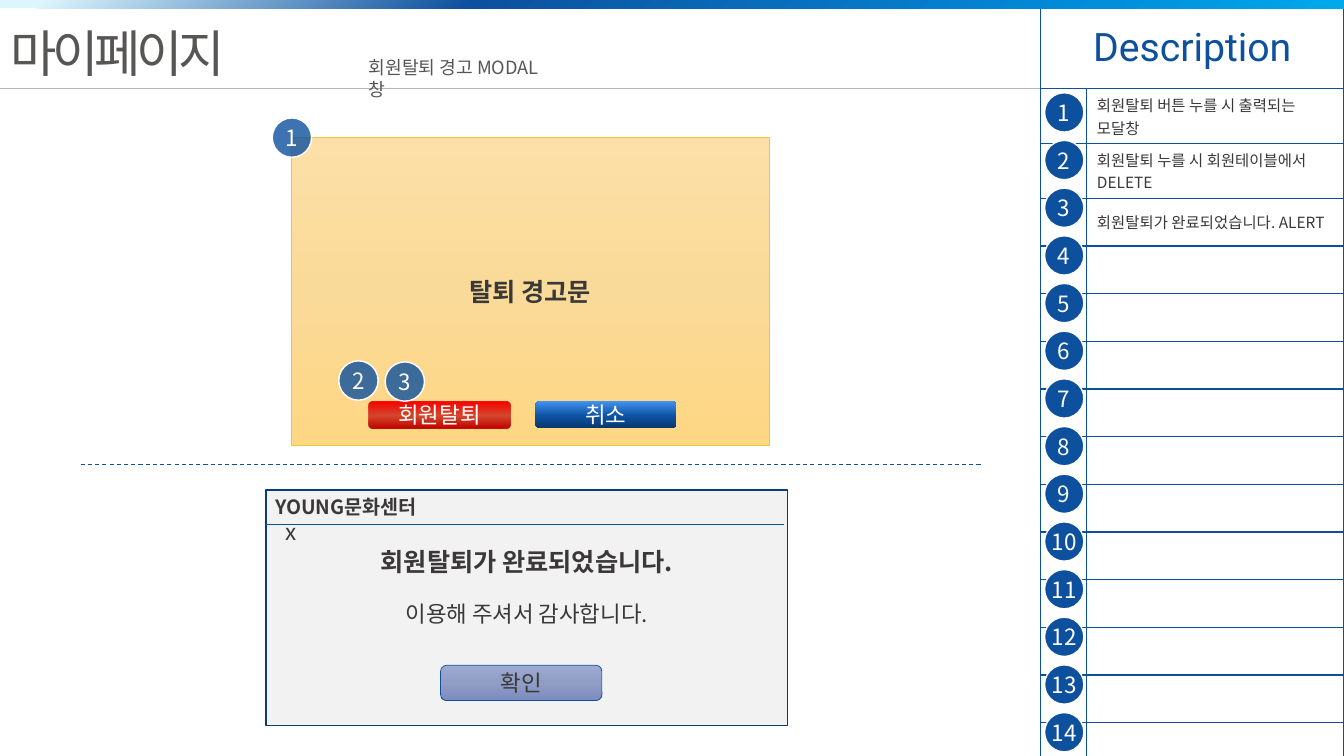
from lxml import etree
from pptx import Presentation
from pptx import util as u
from pptx.dml.color import RGBColor
from pptx.enum import dml, shapes, text
from pptx.oxml import ns

SANS = "Noto Sans CJK KR"
HUES = {
    "navy": "0D509E", "deep": "0A3B75", "white": "FFFFFF", "ink": "3A3838",
    "gray": "585555", "rule": "B5B5B5", "gold": "F5C437", "pale": "F2F2F2",
}
FADES = {
    "bar": (45, [(3, "DDF6FD"), (35, "0D509E"), (82, "018EDD"), (100, "00A9EA")]),
    "sand": (90, [(0, "FCE0A7"), (50, "FADA98"), (100, "FED784")]),
    "blue": (270, [(0, "09366A"), (48, "0E55A7"), (100, "4393F0")]),
    "red": (270, [(0, "C00000"), (48, "C00000", 66), (100, "FF0000")]),
    "lilac": (90, [(0, "9EA9CF"), (50, "909DC5"), (100, "7C8CC0")]),
}
NOTES = [
    ["회원탈퇴 버튼 누를 시 출력되는", "모달창"],
    ["회원탈퇴 누를 시 회원테이블에서 DELETE"],
    ["회원탈퇴가 완료되었습니다. ALERT"],
]
STEPS = 14
PITCH = 0.473
MARKS = [("2", 3.36, 3.58), ("1", 2.7, 1.17), ("3", 3.82, 3.59)]
KIND = shapes.MSO_SHAPE
MID = text.MSO_ANCHOR.MIDDLE
TOP = text.MSO_ANCHOR.TOP
MID_P = text.PP_ALIGN.CENTER
LEFT_P = text.PP_ALIGN.LEFT


def rgb(hue):
    return RGBColor.from_string(HUES[hue])


def place(box):
    return [u.Inches(n) for n in box]


def put(thing, **vals):
    for key, val in vals.items():
        setattr(thing, key, val)


def node(root, tag, **vals):
    item = etree.SubElement(root, ns.qn(tag))
    for key, val in vals.items():
        item.set(key, str(val))
    return item


def tint(root, code, alpha=None):
    clr = node(root, "a:srgbClr", val=code)
    if alpha:
        node(clr, "a:alpha", val=alpha * 1000)


def write(par, words, size, hue, bold=False, name=SANS, align=LEFT_P):
    par.alignment = align
    run = par.add_run()
    run.text = words
    put(run.font, size=u.Pt(size), bold=bold, name=name)
    run.font.color.rgb = rgb(hue)
    node(run.font._element, "a:ea", typeface=name)
    return run


def fade(shape, name):
    angle, stops = FADES[name]
    grad = etree.Element(ns.qn("a:gradFill"), rotWithShape="1")
    group = node(grad, "a:gsLst")
    for pos, *color in stops:
        tint(node(group, "a:gs", pos=pos * 1000), *color)
    node(grad, "a:lin", ang=angle * 60000, scaled=0)
    shape._element.spPr.find(ns.qn("a:prstGeom")).addnext(grad)


def block(slide, kind, box, fill, edge=None, width=1):
    shape = slide.shapes.add_shape(kind, *place(box))
    shape.shadow.inherit = False
    if fill in FADES:
        fade(shape, fill)
    else:
        shape.fill.solid()
        shape.fill.fore_color.rgb = rgb(fill)
    if edge:
        shape.line.color.rgb = rgb(edge)
        shape.line.width = u.Pt(width)
    else:
        shape.line.fill.background()
    shape.text_frame.vertical_anchor = MID
    return shape


def label(shape, words, size, hue, bold=False):
    write(shape.text_frame.paragraphs[0], words, size, hue, bold, align=MID_P)


def badge(slide, words, left, top, alpha=None):
    dot = block(slide, KIND.OVAL, (left, top, 0.39, 0.39), "navy", "white")
    put(dot.text_frame, margin_left=0, margin_right=0, margin_top=0,
        margin_bottom=0, word_wrap=False)
    label(dot, words, 16, "white")
    if alpha:
        clr = dot._element.spPr.find(ns.qn("a:solidFill"))[0]
        node(clr, "a:alpha", val=alpha * 1000)


def rule(slide, left, right, top, hue, width, dash=False):
    line = slide.shapes.add_connector(
        shapes.MSO_CONNECTOR.STRAIGHT, *place((left, top, right, top)))
    line.line.color.rgb = rgb(hue)
    line.line.width = u.Pt(width)
    if dash:
        line.line.dash_style = dml.MSO_LINE.DASH
    node(line._element.spPr, "a:effectLst")


def note(slide, box):
    frame = slide.shapes.add_textbox(*place(box)).text_frame
    frame.word_wrap = True
    return frame


def frame_cell(cell):
    cell.vertical_anchor = MID
    cell.fill.background()
    props = cell._tc.get_or_add_tcPr()
    for at, side in enumerate(("a:lnL", "a:lnR", "a:lnT", "a:lnB")):
        line = node(props, side, w=u.Pt(1))
        tint(node(line, "a:solidFill"), HUES["navy"])
        props.insert(at, line)


def panel(slide):
    grid = slide.shapes.add_table(
        STEPS + 1, 2, *place((10.32, 0.08, 3.01, 7.42))).table
    put(grid, first_row=False, horz_banding=False)
    for col, wide in zip(grid.columns, (0.46, 2.55)):
        col.width = u.Inches(wide)
    for at, row in enumerate(grid.rows):
        row.height = u.Inches(PITCH if at else 0.8)
    for cell in grid.iter_cells():
        frame_cell(cell)
    head = grid.cell(0, 0)
    head.merge(grid.cell(0, 1))
    write(head.text_frame.paragraphs[0], "Description", 28, "navy",
          name="Roboto", align=MID_P)
    for at, lines in enumerate(NOTES, 1):
        frame = grid.cell(at, 1).text_frame
        for num, words in enumerate(lines):
            par = frame.add_paragraph() if num else frame.paragraphs[0]
            write(par, words, 11, "ink")


def header(slide):
    rule(slide, 0, 10.32, 0.88, "rule", 1)
    title = slide.shapes.title
    put(title, **dict(zip(("left", "top", "width", "height"),
                          place((0, 0.16, 2.52, 0.71)))))
    put(title.text_frame, word_wrap=False, vertical_anchor=MID,
        auto_size=text.MSO_AUTO_SIZE.NONE)
    run = write(title.text_frame.paragraphs[0], "마이페이지", 36, "gray")
    run.font._element.set("spc", "-300")
    block(slide, KIND.RECTANGLE, (0, 0, 13.33, 0.08), "bar")
    frame = note(slide, (3.56, 0.51, 2, 0.32))
    write(frame.paragraphs[0], "회원탈퇴 경고 MODAL창", 13, "gray")


def button(slide, words, box, fill, hue="white", edge=None):
    shape = block(slide, KIND.ROUNDED_RECTANGLE, box, fill, edge, 0.5)
    label(shape, words, 16, hue)


def modal(slide):
    card = block(slide, KIND.RECTANGLE, (2.89, 1.36, 4.74, 3.06), "sand", "gold", 0.5)
    label(card, "탈퇴 경고문", 18, "ink", True)
    button(slide, "취소", (5.31, 3.98, 1.4, 0.27), "blue")
    button(slide, "회원탈퇴", (3.66, 3.98, 1.4, 0.27), "red")
    for words, left, top in MARKS:
        badge(slide, words, left, top, 80)


def alert(slide):
    card = block(slide, KIND.RECTANGLE, (2.64, 4.86, 5.17, 2.34), "pale", "deep")
    put(card.text_frame, vertical_anchor=TOP, margin_top=u.Inches(0.56))
    label(card, "회원탈퇴가 완료되었습니다.", 18, "ink", True)
    par = card.text_frame.add_paragraph()
    par.space_before = u.Pt(17)
    write(par, "이용해 주셔서 감사합니다.", 16, "ink", align=MID_P)
    button(slide, "확인", (4.37, 6.6, 1.6, 0.35), "lilac", "ink", "navy")
    rule(slide, 2.63, 7.78, 5.2, "navy", 0.5)
    frame = note(slide, (2.63, 4.86, 5.18, 0.37))
    write(frame.paragraphs[0], "YOUNG문화센터", 14, "ink", True)
    par = frame.add_paragraph()
    par._p.get_or_add_pPr().set("marL", str(u.Inches(0.1)))
    write(par, "x", 16, "ink")


def main():
    deck = Presentation()
    put(deck, slide_width=u.Inches(13.33), slide_height=u.Inches(7.5))
    slide = deck.slides.add_slide(deck.slide_layouts[5])
    panel(slide)
    header(slide)
    for step in range(STEPS):
        badge(slide, str(step + 1), 10.36, 0.92 + PITCH * step)
    modal(slide)
    alert(slide)
    rule(slide, 0.8, 9.73, 4.61, "navy", 0.75, True)
    deck.save("out.pptx")


if __name__ == "__main__":
    main()
